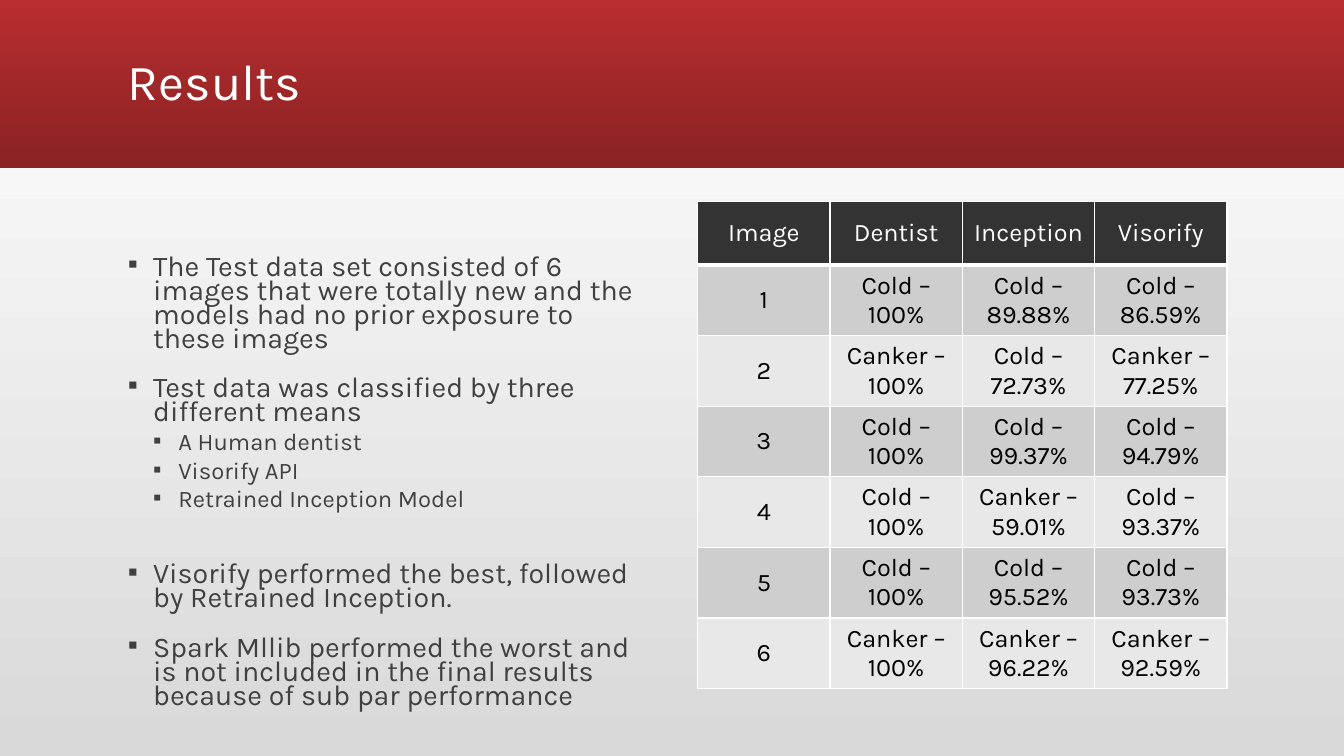
from lxml.etree import SubElement
from pptx import Presentation
from pptx.dml.color import RGBColor
from pptx.enum.shapes import MSO_SHAPE
from pptx.enum.text import MSO_ANCHOR, PP_ALIGN
from pptx.oxml.ns import qn
from pptx.util import Inches, Pt

FONT = "Karla"
POINTS = [
    (0, 18, "The Test data set consisted of 6 images that were totally new "
            "and the models had no prior exposure to these images"),
    (0, 18, "Test data was classified by three different means"),
    (1, 6, "A Human dentist"),
    (1, 6, "Visorify API"),
    (1, 6, "Retrained Inception Model"),
    (0, 38, "Visorify performed the best, followed by Retrained Inception."),
    (0, 18, "Spark Mllib performed the worst and is not included in the final "
            "results because of sub par performance"),
]
RESULTS = [
    ("Image", "Dentist", "Inception", "Visorify"),
    ("1", "Cold – 100%", "Cold – 89.88%", "Cold – 86.59%"),
    ("2", "Canker – 100%", "Cold – 72.73%", "Canker – 77.25%"),
    ("3", "Cold – 100%", "Cold – 99.37%", "Cold – 94.79%"),
    ("4", "Cold – 100%", "Canker – 59.01%", "Cold – 93.37%"),
    ("5", "Cold – 100%", "Cold – 95.52%", "Cold – 93.73%"),
    ("6", "Canker – 100%", "Canker – 96.22%", "Canker – 92.59%"),
]


def color(value):
    return RGBColor.from_string(value)


def style_text(para, size, value):
    for span in para.runs:
        span.font.name = FONT
        span.font.size = Pt(size)
        span.font.color.rgb = color(value)


def set_gradient(fill, first, last, angle):
    fill.gradient()
    fill.gradient_angle = angle
    for stop, value in zip(fill.gradient_stops, (first, last)):
        stop.color.rgb = color(value)


def set_bullet(para, level):
    properties = para._p.get_or_add_pPr()
    properties.set("marL", str(Inches(0.25 * (level + 1))))
    properties.set("indent", str(-Inches(0.25)))
    SubElement(properties, qn("a:buFont"), typeface="Arial")
    SubElement(properties, qn("a:buChar"), char="▪")


def set_borders(cell, bottom_width):
    properties = cell._tc.get_or_add_tcPr()
    for side, width in (("L", 1), ("R", 1), ("T", 1), ("B", bottom_width)):
        line = SubElement(properties, qn(f"a:ln{side}"), w=str(Pt(width)))
        solid = SubElement(line, qn("a:solidFill"))
        SubElement(solid, qn("a:srgbClr"), val="FFFFFF")


def add_header(page, left, top, width, height):
    band = page.shapes.add_shape(MSO_SHAPE.RECTANGLE, left, top, width, height)
    band.shadow.inherit = False
    band.line.fill.background()
    set_gradient(band.fill, "B82D2F", "8A2223", 270)
    box = page.shapes.add_textbox(left + Inches(1.17), top + Inches(0.11),
                                  Inches(11), Inches(1.45))
    frame = box.text_frame
    frame.word_wrap = True
    frame.vertical_anchor = MSO_ANCHOR.MIDDLE
    frame.text = "Results"
    frame.paragraphs[0].line_spacing = 0.9
    style_text(frame.paragraphs[0], 36, "FFFFFF")


def add_findings(page, left, top, width, height):
    frame = page.shapes.add_textbox(left, top, width, height).text_frame
    frame.word_wrap = True
    frame.margin_top = Inches(0.55)
    frame.text = "\n".join(text for _, _, text in POINTS)
    for para, (level, space, _) in zip(frame.paragraphs, POINTS):
        para.level = level
        para.line_spacing = 0.7
        para.space_before = Pt(space)
        set_bullet(para, level)
        style_text(para, 17 if level else 20.4, "404040")


def add_results(page, left, top, width, height):
    table = page.shapes.add_table(len(RESULTS), len(RESULTS[0]),
                                  left, top, width, height).table
    for row_index, values in enumerate(RESULTS):
        header = row_index == 0
        table.rows[row_index].height = Inches(0.63 if header else 0.69)
        fill = "333333" if header else ("E8E8E8", "CECECE")[row_index % 2]
        for column_index, value in enumerate(values):
            cell = table.cell(row_index, column_index)
            set_borders(cell, 3 if header else 1)
            cell.fill.solid()
            cell.fill.fore_color.rgb = color(fill)
            cell.vertical_anchor = MSO_ANCHOR.MIDDLE
            cell.text_frame.text = value
            para = cell.text_frame.paragraphs[0]
            para.alignment = PP_ALIGN.CENTER
            style_text(para, 18, "FFFFFF" if header else "000000")


def main():
    deck = Presentation()
    deck.slide_width, deck.slide_height = Inches(13.33), Inches(7.5)
    page = deck.slides.add_slide(deck.slide_layouts[6])
    set_gradient(page.background.fill, "D9D9D9", "FFFFFF", 90)
    add_header(page, 0, 0, deck.slide_width, Inches(1.67))
    add_findings(page, Inches(1.17), Inches(2), Inches(5.25), Inches(5))
    add_results(page, Inches(6.92), Inches(2), Inches(5.25), Inches(4.77))
    deck.save("out.pptx")


if __name__ == "__main__":
    main()
